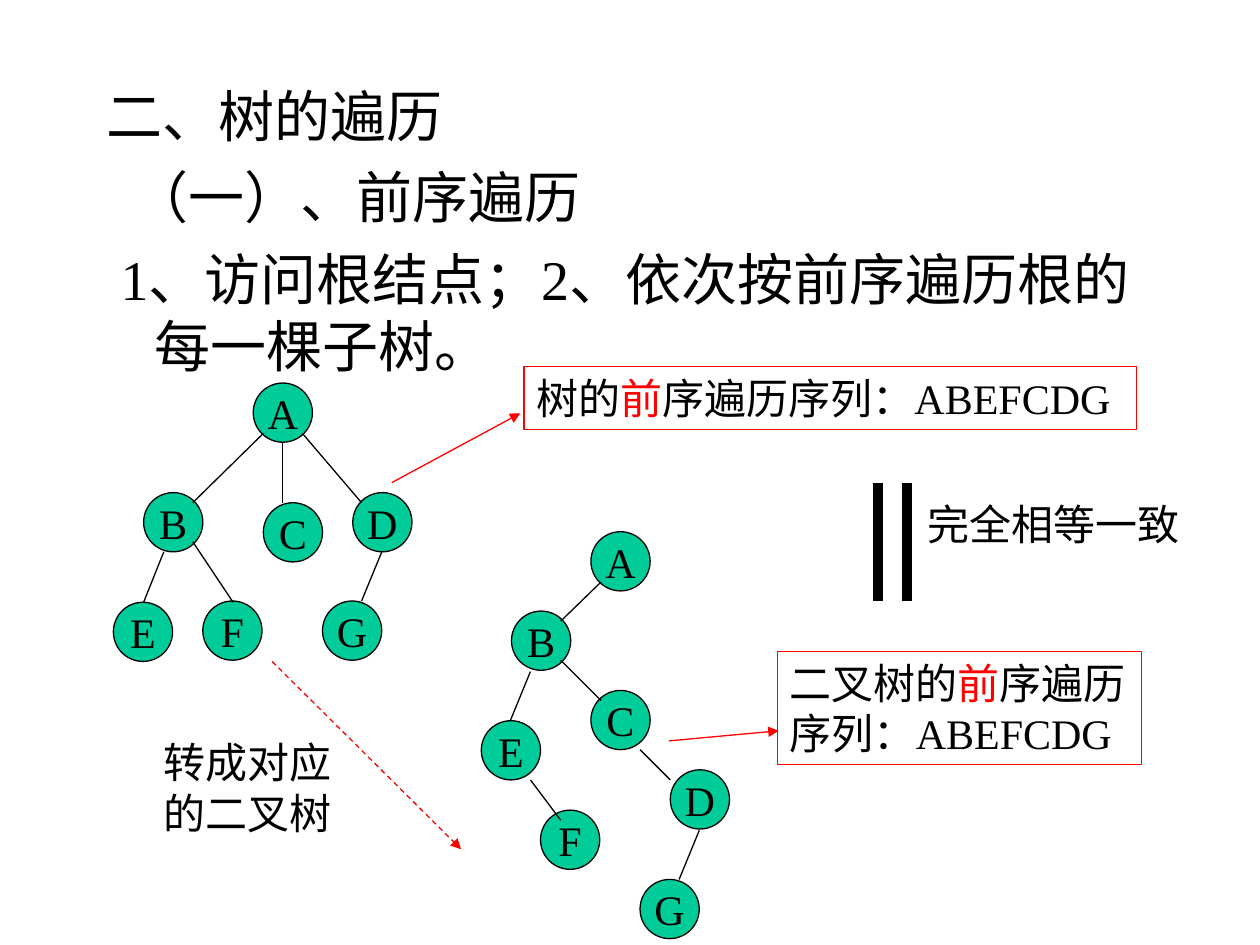
from lxml import etree
from pptx import Presentation
from pptx import util as u
from pptx.dml.color import RGBColor
from pptx.enum import dml, shapes, text
from pptx.oxml.ns import qn

FONT = "Times New Roman"
BLACK, RED, GREEN = "000000", "FF0000", "00CC99"
NODE_SIZE = 0.47

HEADINGS = [  # text, first-line indent
    ("二、树的遍历", -0.38),
    ("（一）、前序遍历", -0.18),
    ("1、访问根结点；2、依次按前序遍历根的每一棵子树。", -0.27),
]

TREE_NODES = {
    "A": (2.01, 3.04), "B": (1.14, 3.91), "C": (2.09, 3.99), "D": (2.8, 3.91),
    "E": (0.9, 4.78), "F": (1.61, 4.77), "G": (2.56, 4.77),
}
TREE_EDGES = [
    (2.09, 3.44, 1.53, 3.99), (2.24, 3.51, 2.24, 3.99), (2.4, 3.44, 2.87, 3.99),
    (1.3, 4.38, 1.14, 4.78), (1.53, 4.3, 1.85, 4.78), (3.03, 4.38, 2.87, 4.77),
]
BINARY_NODES = {
    "A": (4.69, 4.22), "B": (4.06, 4.85), "C": (4.69, 5.48), "D": (5.32, 6.11),
    "E": (3.82, 5.72), "F": (4.29, 6.43), "G": (5.08, 6.98),
}
BINARY_EDGES = [
    (4.77, 4.62, 4.45, 4.93), (4.45, 5.24, 4.77, 5.56), (4.21, 5.33, 4.05, 5.72),
    (4.21, 6.19, 4.45, 6.51), (5.08, 5.95, 5.32, 6.19), (5.55, 6.59, 5.39, 6.98),
]


def color(hex_value):
    return RGBColor.from_string(hex_value)


def style_run(r, size, hex_value=BLACK):
    r.font.name = FONT
    r.font.size = u.Pt(size)
    r.font.color.rgb = color(hex_value)


def add_headings(s):
    sp = s.shapes.add_textbox(*map(u.Inches, (0.75, 0.6, 8.5, 6.07)))
    tf = sp.text_frame
    tf.word_wrap = True
    tf.text = "\n".join(line for line, _ in HEADINGS)
    for i, (p, (_, indent)) in enumerate(zip(tf.paragraphs, HEADINGS)):
        pPr = p._p.get_or_add_pPr()
        pPr.set("marL", str(u.Inches(0.38)))
        pPr.set("indent", str(u.Inches(indent)))
        if i:
            p.space_before = u.Pt(8)
        style_run(p.runs[0], 32)


def add_label(s, box, lines, border=None):
    """Add unwrapped lines, each a list of (text, colour) runs."""
    sp = s.shapes.add_textbox(*map(u.Inches, box))
    if border:
        sp.line.color.rgb = color(border)
        sp.line.width = u.Pt(0.75)
    tf = sp.text_frame
    tf.word_wrap = False
    tf.auto_size = text.MSO_AUTO_SIZE.SHAPE_TO_FIT_TEXT
    for i, line in enumerate(lines):
        p = tf.add_paragraph() if i else tf.paragraphs[0]
        for words, hex_value in line:
            r = p.add_run()
            r.text = words
            style_run(r, 24, hex_value)


def add_node(s, name, left, top):
    sp = s.shapes.add_shape(shapes.MSO_SHAPE.OVAL,
                            *map(u.Inches, (left, top, NODE_SIZE, NODE_SIZE)))
    sp.shadow.inherit = False
    sp.fill.solid()
    sp.fill.fore_color.rgb = color(GREEN)
    sp.line.color.rgb = color(BLACK)
    sp.line.width = u.Pt(0.75)
    tf = sp.text_frame
    tf.word_wrap = False
    tf.vertical_anchor = text.MSO_ANCHOR.MIDDLE
    tf.text = name
    p = tf.paragraphs[0]
    p.alignment = text.PP_ALIGN.CENTER
    style_run(p.runs[0], 24)


def add_line(s, ends, hex_value=BLACK, width=0.75, arrow=False, dashed=False):
    line = s.shapes.add_connector(shapes.MSO_CONNECTOR.STRAIGHT,
                                  *map(u.Inches, ends))
    line.line.color.rgb = color(hex_value)
    line.line.width = u.Pt(width)
    if dashed:
        line.line.dash_style = dml.MSO_LINE.DASH
    if arrow:
        ln = line.line._get_or_add_ln()
        etree.SubElement(ln, qn("a:tailEnd"), type="triangle")
    etree.SubElement(line._element.spPr, qn("a:effectLst"))


def add_tree(s, nodes, edges):
    for name, (left, top) in nodes.items():
        add_node(s, name, left, top)
    for ends in edges:
        add_line(s, ends)


def main():
    prs = Presentation()
    prs.slide_width, prs.slide_height = u.Inches(10), u.Inches(7.5)
    s = prs.slides.add_slide(prs.slide_layouts[6])

    add_headings(s)
    add_tree(s, TREE_NODES, TREE_EDGES)
    add_tree(s, BINARY_NODES, BINARY_EDGES)

    add_label(s, (4.16, 2.91, 4.86, 0.5),
              [[("树的", BLACK), ("前", RED), ("序遍历序列：ABEFCDG", BLACK)]], RED)
    add_line(s, (3.11, 3.83, 4.13, 3.28), RED, arrow=True)
    add_label(s, (6.17, 5.17, 2.89, 0.9),
              [[("二叉树的", BLACK), ("前", RED), ("序遍历", BLACK)],
               [("序列：ABEFCDG", BLACK)]], RED)
    add_line(s, (5.31, 5.88, 6.18, 5.8), RED, arrow=True)

    add_line(s, (2.16, 5.25, 3.66, 6.74), RED, arrow=True, dashed=True)
    add_label(s, (1.2, 5.8, 1.53, 0.9),
              [[("转成对应", BLACK)], [("的二叉树", BLACK)]])

    for x in (6.97, 7.2):
        add_line(s, (x, 3.83, x, 4.77), width=6)
    add_label(s, (7.26, 3.91, 2.2, 0.5), [[("完全相等一致", BLACK)]])

    prs.save("out.pptx")


if __name__ == "__main__":
    main()
